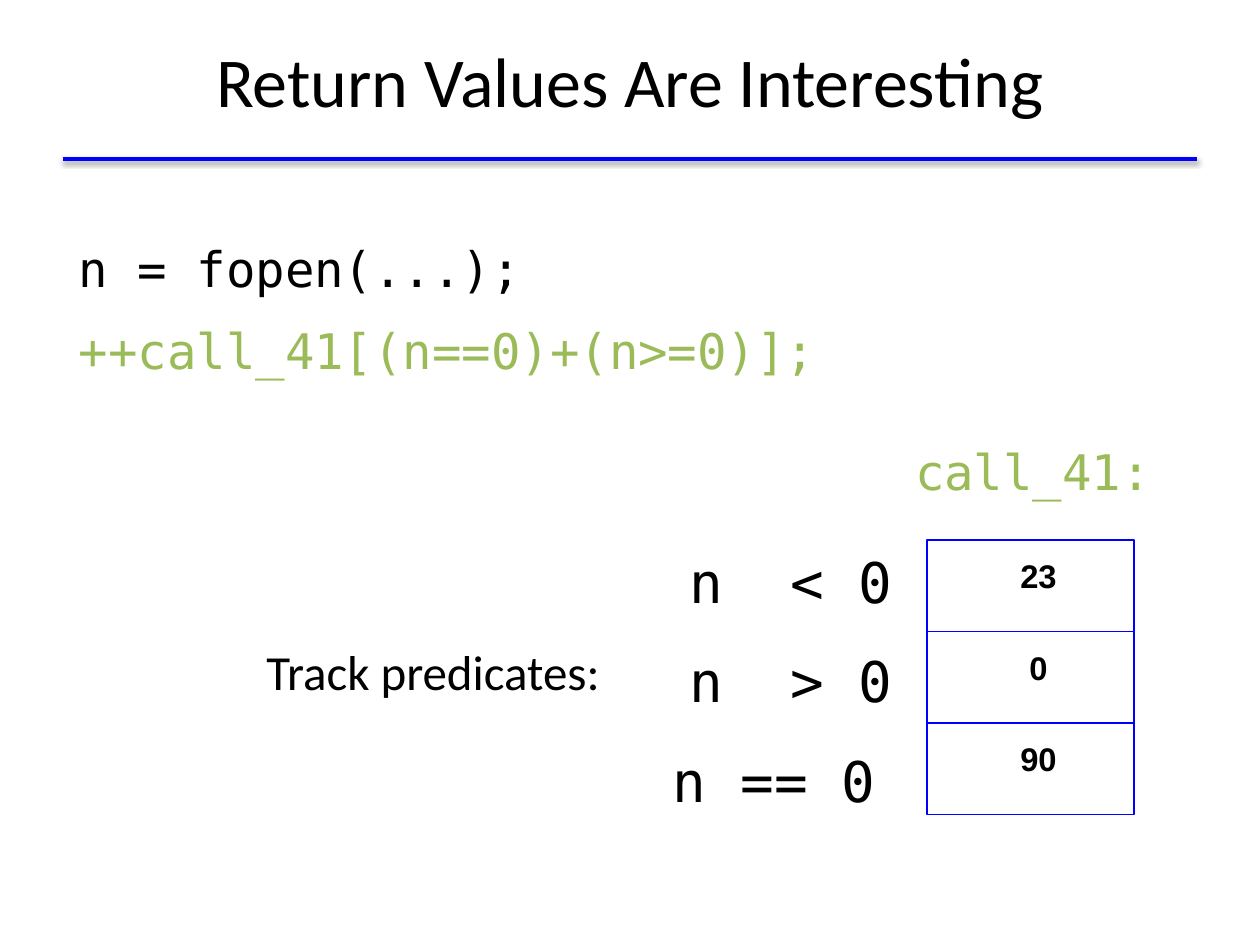
from lxml import etree
from pptx import Presentation
from pptx.dml.color import RGBColor
from pptx.enum.shapes import MSO_CONNECTOR as CONN, MSO_SHAPE as SHAPE
from pptx.enum.text import MSO_ANCHOR as ANCHOR, PP_ALIGN as ALIGN
from pptx.oxml import parse_xml
from pptx.oxml.ns import nsdecls
from pptx.util import Emu, Pt

COLORS = {"text": "000000", "code": "9BBB59", "line": "0000FF"}
MONO, SANS, CELL = "DejaVu Sans Mono", "Calibri", "Arial"
PAD = 16


def px(n):
    """Turn pixels into EMU at 126 pixels to the inch."""
    return Emu(round(n * 914400 / 126))


def rgb(name):
    """Look up a named colour."""
    return RGBColor.from_string(COLORS[name])


def write(sp, lines, font=MONO, size=28, colors=("text",), bold=False,
          align=ALIGN.CENTER, anchor=ANCHOR.MIDDLE, leading=1.15, before=7.9,
          insets=(PAD, PAD, PAD, PAD)):
    """Fill a shape with one paragraph per line, cycling through the colours."""
    tf = sp.text_frame
    tf.word_wrap = True
    tf.vertical_anchor = anchor
    tf.margin_left, tf.margin_top, tf.margin_right, tf.margin_bottom = map(px, insets)
    for i, line in enumerate(lines):
        p = tf.add_paragraph() if i else tf.paragraphs[0]
        p.alignment, p.line_spacing, p.space_before = align, leading, Pt(before)
        r = p.add_run()
        r.text = line
        r.font.name, r.font.size, r.font.bold = font, Pt(size), bold
        r.font.color.rgb = rgb(colors[i % len(colors)])


def add_text(s, box, lines, **fmt):
    """Add a text box with formatted lines."""
    sp = s.shapes.add_textbox(*map(px, box))
    write(sp, lines, **fmt)


def add_header(s, x, y, w, h):
    """Add the title and the shadowed rule beneath it."""
    add_text(s, (x, y, w, h), ["Return Values Are Interesting"],
             font=SANS, size=40, leading=1, before=0)
    rule = s.shapes.add_connector(CONN.STRAIGHT, px(x), px(y + h), px(x + w), px(y + h))
    rule.line.color.rgb, rule.line.width = rgb("line"), Pt(2)
    shadow = parse_xml(
        f'<a:effectLst {nsdecls("a")}>'
        '<a:outerShdw blurRad="39370" dist="20320" dir="5400000" rotWithShape="0">'
        '<a:srgbClr val="000000"><a:alpha val="38000"/></a:srgbClr>'
        '</a:outerShdw></a:effectLst>')
    rule._element.spPr.append(shadow)


def add_code(s, x, y, w, h):
    """Add the call and its instrumentation line."""
    add_text(s, (x, y, w, h), ["n = fopen(...);", "++call_41[(n==0)+(n>=0)];"],
             colors=("text", "code"), align=ALIGN.LEFT, anchor=ANCHOR.TOP,
             insets=(PAD, 9, PAD, 9))


def add_predicates(s, x, y, w, h):
    """Add the caption and the tracked predicates."""
    add_text(s, (x, y + 95, 420, 215), ["Track predicates:"], font=SANS)
    add_text(s, (x + 393, y, w - 393, h), ["n  < 0", "n  > 0", "n == 0 "],
             size=32, before=12.6)


def add_counters(s, x, y, w, row_h, counts):
    """Add the counter label and a column of equal cells."""
    add_text(s, (x - 45, y - 131, 302, 115), ["call_41:"], colors=("code",))
    for i, count in enumerate(counts):
        sp = s.shapes.add_shape(SHAPE.RECTANGLE, px(x), px(y + i * row_h), px(w), px(row_h))
        sp.shadow.inherit = False
        sp.fill.background()
        sp.line.color.rgb, sp.line.width = rgb("line"), Pt(0.75)
        write(sp, [count], font=CELL, size=18.7, bold=True, anchor=ANCHOR.TOP,
              leading=1, before=0, insets=(2 * PAD, PAD, PAD, PAD))


def main():
    """Build the slide and save it."""
    prs = Presentation()
    prs.slide_width, prs.slide_height = px(1260), px(945)
    s = prs.slides.add_slide(prs.slide_layouts[6])
    add_header(s, 63, 1, 1134, 158)
    add_code(s, 63, 221, 1134, 624)
    add_predicates(s, 223, 464, 743, 423)
    add_counters(s, 927, 540, 207, 91.5, ["23", "0", "90"])
    prs.save("out.pptx")


if __name__ == "__main__":
    main()
